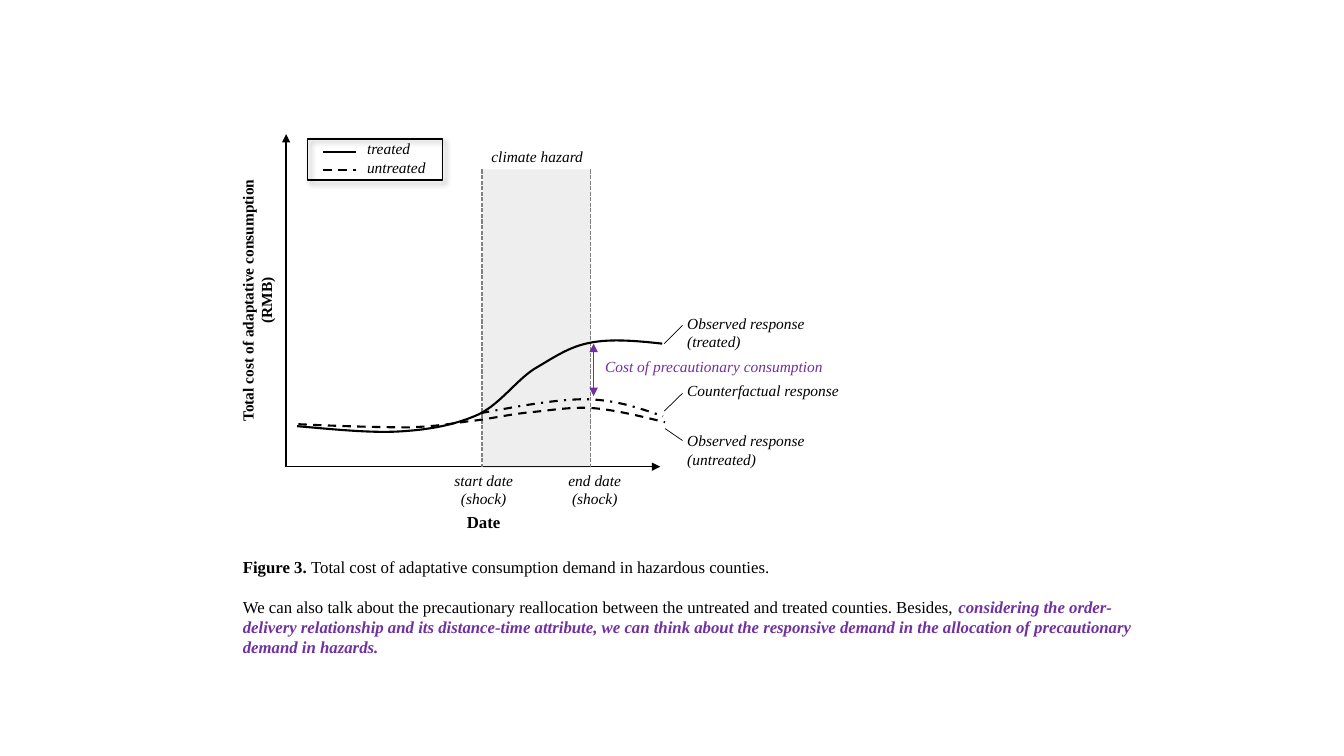
from lxml import etree
from pptx import Presentation
from pptx.dml.color import RGBColor
from pptx.enum.dml import MSO_LINE
from pptx.enum.shapes import MSO_CONNECTOR, MSO_SHAPE
from pptx.enum.text import MSO_AUTO_SIZE, PP_ALIGN
from pptx.oxml import parse_xml
from pptx.oxml.ns import nsdecls, qn
from pptx.util import Cm, Pt

STRAIGHT = MSO_CONNECTOR.STRAIGHT
RECTANGLE = MSO_SHAPE.RECTANGLE
GROW = MSO_AUTO_SIZE.SHAPE_TO_FIT_TEXT
DASH, DASH_DOT, SHORT_DASH = MSO_LINE.DASH, MSO_LINE.DASH_DOT, MSO_LINE.SQUARE_DOT
LEFT, CENTER = PP_ALIGN.LEFT, PP_ALIGN.CENTER
FONT = "Times New Roman"
COLORS = {name: RGBColor.from_string(value) for name, value in {
    "black": "000000", "gray": "808080", "purple": "7030A0"}.items()}

deck = Presentation()
deck.slide_width, deck.slide_height = Cm(33.87), Cm(19.05)
page = deck.slides.add_slide(deck.slide_layouts[6])


def add_label(lines, left, top, width, height, align=LEFT, color="black",
              size=11, bold=False, italic=True):
    box = page.shapes.add_textbox(Cm(left), Cm(top), Cm(width), Cm(height))
    frame = box.text_frame
    frame.word_wrap = True
    frame.auto_size = GROW
    frame.text = "\n".join(lines)
    for para in frame.paragraphs:
        para.alignment = align
        para.font.name, para.font.size = FONT, Pt(size)
        para.font.bold, para.font.italic = bold, italic
        para.font.color.rgb = COLORS[color]
    return box


def add_line(x1, y1, x2, y2, width, color="black", dash=None, arrows=()):
    line = page.shapes.add_connector(STRAIGHT, Cm(x1), Cm(y1), Cm(x2), Cm(y2))
    line.line.width = Pt(width)
    line.line.color.rgb = COLORS[color]
    if dash:
        line.line.dash_style = dash
    for end in arrows:
        etree.SubElement(line.line._get_or_add_ln(), qn(f"a:{end}"), type="triangle")
    etree.SubElement(line._element.spPr, qn("a:effectLst"))


# Caption and remark
caption = add_label(["", ""], 5.87, 13.9, 23.14, 2.82, size=12, italic=False)
figure_para, remark_para = caption.text_frame.paragraphs
span = figure_para.add_run()
span.text = "Figure 3. "
span.font.bold = True
figure_para.add_run().text = "Total cost of adaptative consumption demand in hazardous counties."
remark_para.space_before = Pt(14)
remark_para.add_run().text = ("We can also talk about the precautionary reallocation between "
                              "the untreated and treated counties. Besides, ")
span = remark_para.add_run()
span.text = ("considering the order-delivery relationship and its distance-time attribute, "
             "we can think about the responsive demand in the allocation of precautionary "
             "demand in hazards.")
span.font.bold = span.font.italic = True
span.font.color.rgb = COLORS["purple"]
for para in (figure_para, remark_para):
    for span in para.runs:
        span.font.name, span.font.size = FONT, Pt(12)

# Axes and their labels
ORIGIN_X, ORIGIN_Y = 7.21, 11.76
add_line(ORIGIN_X, ORIGIN_Y, ORIGIN_X, 3.38, 1, arrows=["tailEnd"])
add_line(ORIGIN_X, ORIGIN_Y, 16.64, ORIGIN_Y, 1, arrows=["tailEnd"])
for left, event in ((10.54, "start date"), (13.34, "end date")):
    add_label([event, "(shock)"], left, 11.74, 3.3, 1.19, CENTER)
add_label(["Date"], 11.43, 12.76, 1.52, 0.76, CENTER, size=12, bold=True, italic=False)
cost_label = add_label(["Total cost of adaptative consumption (RMB)"],
                       3.07, 6.98, 6.81, 1.19, CENTER, bold=True, italic=False)
cost_label.rotation = 270

# Hazard period
hazard = page.shapes.add_shape(RECTANGLE, Cm(12.17), Cm(4.27), Cm(2.72), Cm(7.52))
hazard.shadow.inherit = False
hazard.fill.solid()
hazard.fill.fore_color.rgb = COLORS["gray"]
etree.SubElement(hazard._element.spPr.find(".//" + qn("a:srgbClr")), qn("a:alpha"), val="13000")
hazard.line.fill.background()
add_label(["climate hazard"], 11.89, 3.58, 3.3, 0.74, CENTER)
for x in (12.15, 14.88):
    add_line(x, 4.27, x, ORIGIN_Y, 1, "gray", SHORT_DASH)

# Response curves: a start point, then two control points and an end point per Bezier piece
untreated = [(7.52, 10.69), (8.56, 10.74), (9.6, 10.77), (10.31, 10.77),
             (11.02, 10.74), (11.28, 10.69), (11.79, 10.62),
             (12.29, 10.57), (12.83, 10.44), (13.36, 10.39),
             (13.89, 10.34), (14.43, 10.24), (14.99, 10.29),
             (15.54, 10.34), (16.15, 10.49), (16.76, 10.64)]
treated = [(7.49, 10.74), (8.43, 10.82), (9.37, 10.92), (10.13, 10.87),
           (10.9, 10.82), (11.51, 10.69), (12.07, 10.44),
           (12.62, 10.16), (13, 9.6), (13.46, 9.3),
           (13.94, 9.02), (14.33, 8.74), (14.86, 8.64),
           (15.39, 8.53), (16.05, 8.59), (16.69, 8.66)]
counterfactual = [(12.12, 10.41), (13.06, 10.24), (14, 10.06), (14.78, 10.06),
                  (15.54, 10.08), (16.13, 10.29), (16.71, 10.49)]
for points, dash in ((untreated, DASH), (treated, None), (counterfactual, DASH_DOT)):
    start, *controls = [(Cm(x), Cm(y)) for x, y in points]
    builder = page.shapes.build_freeform(*start)
    builder.add_line_segments(controls, close=False)
    curve = builder.convert_to_shape()
    # Turn every three straight segments into one cubic piece
    outline = curve._element.spPr.find(".//" + qn("a:path"))
    segments = outline.findall(qn("a:lnTo"))
    for first in range(0, len(segments), 3):
        cubic = etree.SubElement(outline, qn("a:cubicBezTo"))
        for segment in segments[first:first + 3]:
            cubic.append(segment[0])
            outline.remove(segment)
    curve.shadow.inherit = False
    curve.fill.background()
    curve.line.width = Pt(1.5)
    curve.line.color.rgb = COLORS["black"]
    if dash:
        curve.line.dash_style = dash

# Curve labels with leaders
for text, leader, place in (
        ("Observed response (treated)", (16.74, 8.66, 17.2, 8.2), (7.78, 3.61, 1.19)),
        ("Counterfactual response", (16.74, 10.36, 17.2, 9.91), (9.47, 4.93, 0.74)),
        ("Observed response (untreated)", (16.76, 10.8, 17.2, 11.1), (10.74, 3.53, 1.19))):
    add_line(*leader, 0.5)
    add_label([text], 17.07, *place)

# Legend
for y, dash in ((3.84, None), (4.28, DASH)):
    add_line(8.15, y, 8.97, y, 1.5, dash=dash)
add_label(["treated", "untreated"], 9, 3.39, 2.13, 1.19)
legend = page.shapes.add_shape(RECTANGLE, Cm(7.75), Cm(3.5), Cm(3.4), Cm(1.04))
legend.fill.background()
legend.line.width = Pt(1)
legend.line.color.rgb = COLORS["black"]
legend._element.spPr.append(parse_xml(
    f'<a:effectLst {nsdecls("a")}><a:outerShdw blurRad="50800" dist="38100" dir="2700000" '
    'algn="tl" rotWithShape="0"><a:srgbClr val="000000"><a:alpha val="40000"/></a:srgbClr>'
    '</a:outerShdw></a:effectLst>'))

# Cost gap
add_line(14.96, 8.66, 14.96, 9.98, 0.5, "purple", arrows=["headEnd", "tailEnd"])
add_label(["Cost of precautionary consumption"], 15, 8.87, 6.05, 0.74, color="purple")

deck.save("out.pptx")
